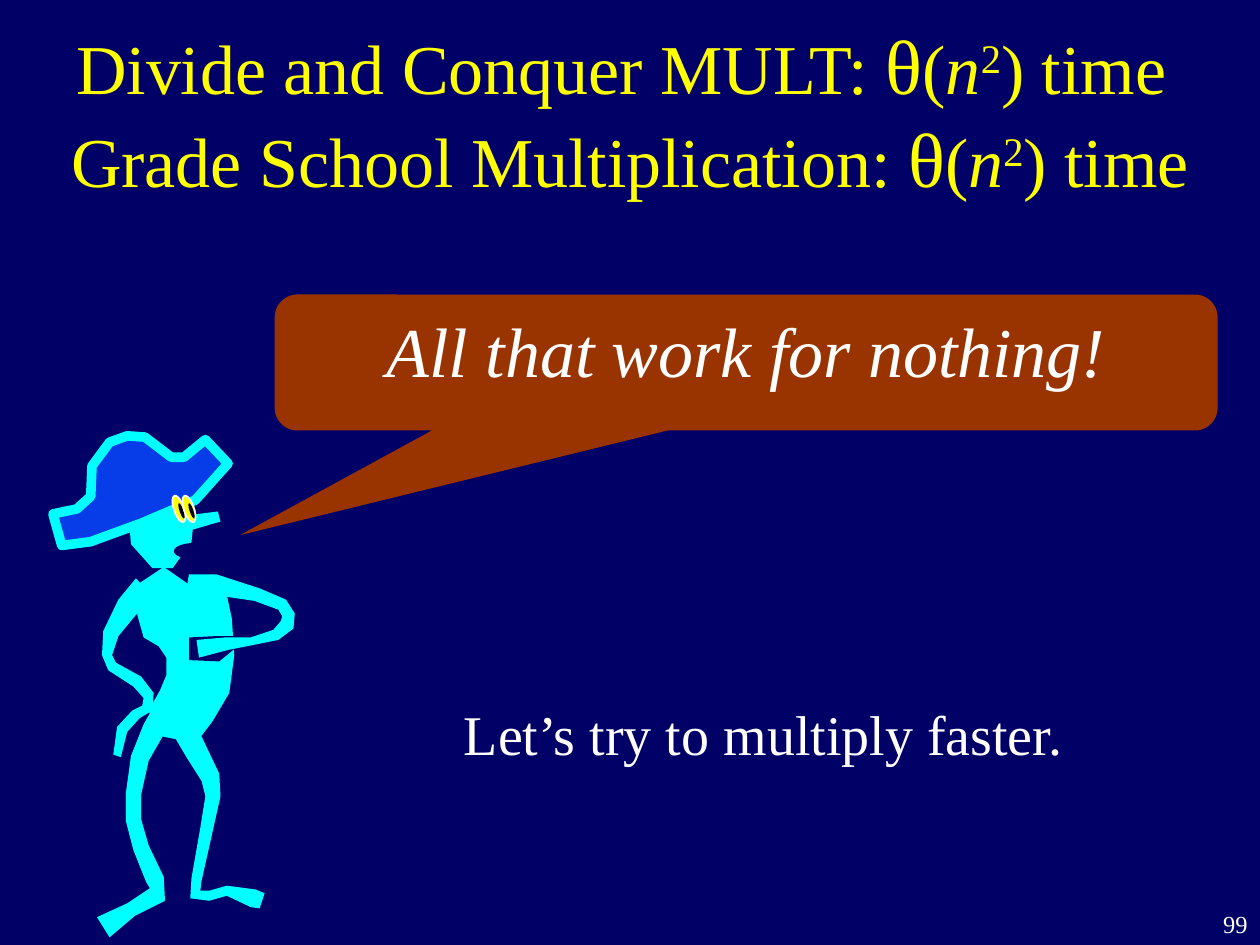
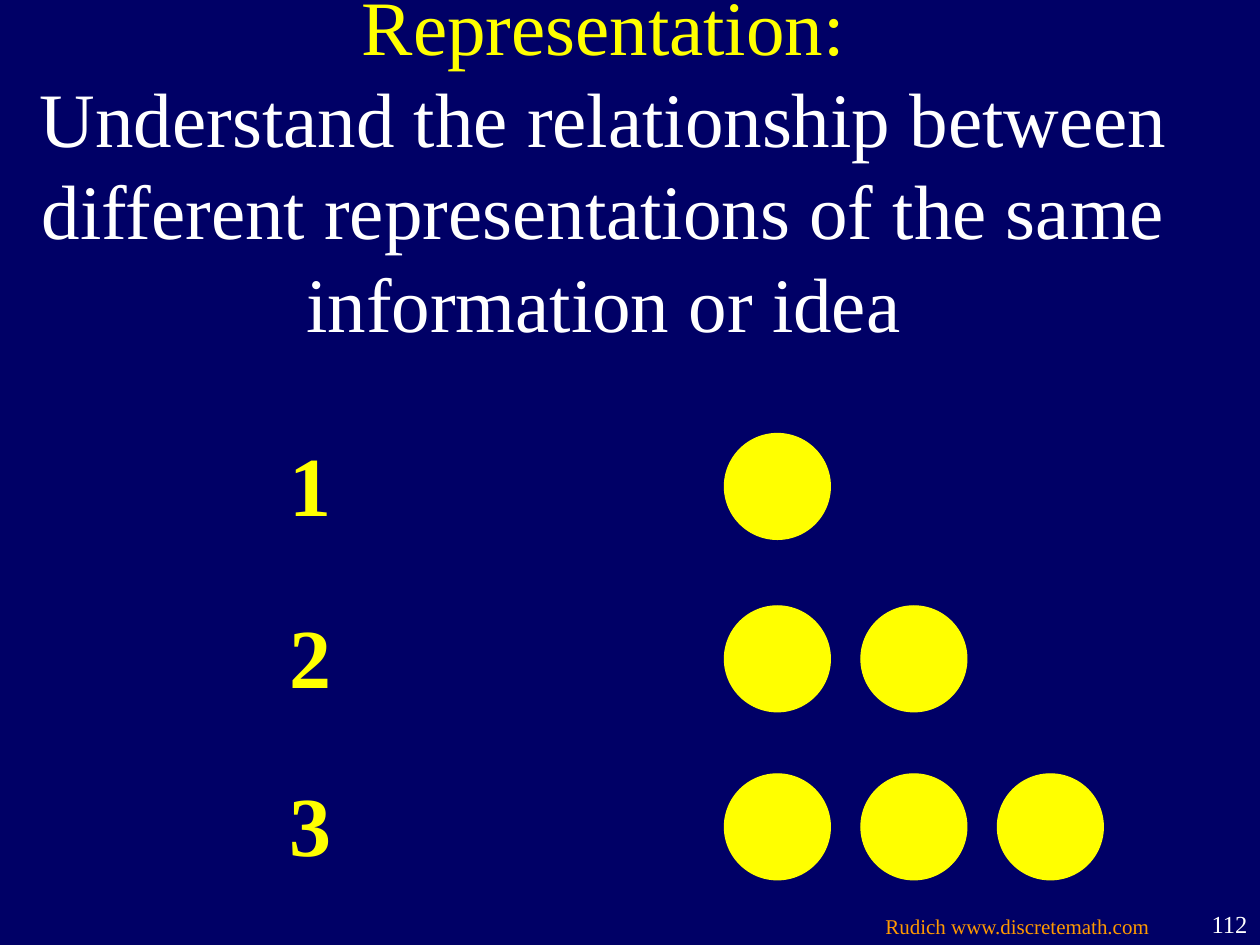
from dataclasses import dataclass
from math import hypot
from pptx import Presentation
from pptx.dml.color import RGBColor
from pptx.enum.shapes import MSO_SHAPE
from pptx.enum.text import MSO_ANCHOR, PP_ALIGN
from pptx.util import Pt


@dataclass(frozen=True)
class Theme:
    font: str = "Times New Roman"
    background: RGBColor = RGBColor(0x00, 0x00, 0x66)
    text: RGBColor = RGBColor(0xFF, 0xFF, 0xFF)
    accent: RGBColor = RGBColor(0xFF, 0xFF, 0x00)
    bubble: RGBColor = RGBColor(0x99, 0x33, 0x00)
    credit: RGBColor = RGBColor(0xFF, 0x99, 0x00)
    skin: RGBColor = RGBColor(0x00, 0xFF, 0xFF)
    hat: RGBColor = RGBColor(0x06, 0x3D, 0xE8)
    pupil: RGBColor = RGBColor(0x00, 0x00, 0x00)
    title_size: int = 44
    formula_size: int = 40
    numeral_size: int = 48
    remark_size: int = 32
    number_size: int = 14
    credit_size: int = 12


THEME = Theme()
PAGE_WIDTH, PAGE_HEIGHT = 720, 540

# The pirate is sketched on a grid of hundredths of an inch.
GRID = 0.72
SKETCH_ORIGIN = (40, 342)

# Each body part is a chain of joints: x, y and thickness there.
# The parts are painted in this order, so the arm gap cuts into the torso.
BODY_PARTS = {
    "head": [(128, 380, 34), (128, 410, 52), (128, 431, 48), (129, 451, 16)],
    "nose": [(150, 415, 12), (174, 410, 9)],
    "torso": [(140, 457, 24), (136, 463, 54), (141, 475, 69), (147, 489, 74),
              (155, 502, 62), (159, 521, 55), (157, 543, 51), (148, 560, 48),
              (139, 574, 47), (136, 586, 20)],
    "arm gap": [(190, 508, 6), (172, 515, 20), (150, 515, 17)],
    "left arm": [(116, 468, 24), (101, 482, 18), (88, 503, 12), (85, 520, 8),
                 (89, 529, 9), (109, 541, 9), (118, 552, 9), (117, 562, 9),
                 (108, 567, 8), (97, 579, 9), (93, 600, 6)],
    "right arm": [(149, 462, 13), (170, 464, 17), (204, 472, 11), (224, 480, 10),
                  (229, 488, 11), (228, 496, 11), (219, 504, 8), (200, 509, 6),
                  (180, 511, 10), (157, 515, 14)],
    "left leg": [(130, 562, 16), (122, 579, 18), (111, 602, 14), (106, 630, 12),
                 (106, 651, 12), (112, 673, 13), (123, 698, 14), (125, 710, 15),
                 (104, 722, 12), (82, 736, 18)],
    "right leg": [(139, 562, 8), (147, 580, 20), (156, 597, 18), (167, 617, 15),
                  (169, 632, 12), (164, 658, 10), (156, 698, 8), (155, 710, 10),
                  (166, 711, 8), (180, 707, 9), (201, 713, 14), (208, 715, 12)],
}
HAT_TOP = [(42, 408), (61, 404), (72, 394), (73, 370), (87, 351), (101, 346),
           (115, 347), (136, 363), (146, 363), (163, 349)]
HAT_BRIM = [(181, 368), (155, 397), (113, 415), (72, 430), (49, 433)]
HAT_TRIM_WIDTH = 5.5
EYE_TILT = 71.4


def limb_outline(joints):
    """Closed outline that lies half the thickness to either side of the joints."""
    near_side, far_side = [], []
    for index, (x, y, thickness) in enumerate(joints):
        before = joints[max(index - 1, 0)]
        after = joints[min(index + 1, len(joints) - 1)]
        along_x, along_y = after[0] - before[0], after[1] - before[1]
        reach = thickness / 2 / hypot(along_x, along_y)
        near_side.append((x - along_y * reach, y + along_x * reach))
        far_side.append((x + along_y * reach, y - along_x * reach))
    return near_side + far_side[::-1]


def paint(shape, color, line_color=None, line_width=0.75):
    shape.shadow.inherit = False
    shape.fill.solid()
    shape.fill.fore_color.rgb = color
    if line_color is None:
        shape.line.fill.background()
    else:
        shape.line.color.rgb = line_color
        shape.line.width = Pt(line_width)


def add_ellipse(page, box, color, line_color=None, line_width=0.75, rotation=0):
    ellipse = page.shapes.add_shape(MSO_SHAPE.OVAL, *map(Pt, box))
    ellipse.rotation = rotation
    paint(ellipse, color, line_color, line_width)


def style_paragraph(paragraph, size, color, align, bold=None, italic=None):
    paragraph.alignment = align
    font = paragraph.font
    font.name, font.size, font.bold, font.italic = THEME.font, Pt(size), bold, italic
    font.color.rgb = color


def add_text(page, box, text, size, color, align=PP_ALIGN.LEFT, bold=None,
             anchor=MSO_ANCHOR.TOP):
    frame = page.shapes.add_textbox(*map(Pt, box)).text_frame
    frame.word_wrap = True
    frame.vertical_anchor = anchor
    paragraph = frame.paragraphs[0]
    paragraph.text = text
    style_paragraph(paragraph, size, color, align, bold)
    return frame


def add_title(page, box, lines):
    """Each line is a list of (text, changes), where changes may hold size,
    color, italic and raised."""
    paragraph = add_text(page, box, "", THEME.title_size, THEME.accent,
                         PP_ALIGN.CENTER, anchor=MSO_ANCHOR.MIDDLE).paragraphs[0]
    for index, line in enumerate(lines):
        if index:
            paragraph.add_line_break()
        for text, changes in line:
            span = paragraph.add_run()
            span.text = text
            span.font.name = THEME.font
            span.font.size = Pt(changes.get("size", THEME.title_size))
            span.font.color.rgb = changes.get("color", THEME.accent)
            span.font.italic = changes.get("italic")
            if changes.get("raised"):
                span._r.get_or_add_rPr().set("baseline", "30000")


def quadratic_time(lead, tail=") time"):
    """Title line that ends in the running time θ(n²)."""
    plain = {"size": THEME.formula_size}
    return [(lead, plain), ("θ", {}), ("(", plain), ("n", {**plain, "italic": True}),
            ("2", {**plain, "raised": True}), (tail, plain)]


def add_speech_bubble(page, box, text):
    bubble = page.shapes.add_shape(MSO_SHAPE.ROUNDED_RECTANGULAR_CALLOUT, *map(Pt, box))
    tip_x, tip_y, corner = -0.537, 1.27, 0.167
    for index, value in enumerate((tip_x, tip_y, corner)):
        bubble.adjustments[index] = value
    paint(bubble, THEME.bubble)
    frame = bubble.text_frame
    frame.vertical_anchor = MSO_ANCHOR.TOP
    frame.paragraphs[0].text = text
    style_paragraph(frame.paragraphs[0], THEME.formula_size, THEME.text,
                    PP_ALIGN.CENTER, italic=True)


def add_pirate(page, left, top):
    origin_x = left - SKETCH_ORIGIN[0] * GRID
    origin_y = top - SKETCH_ORIGIN[1] * GRID

    def add_outline(points, *style):
        builder = page.shapes.build_freeform(*points[0], scale=Pt(GRID))
        builder.add_line_segments(points[1:], close=True)
        paint(builder.convert_to_shape(Pt(origin_x), Pt(origin_y)), *style)

    def add_oval(center_x, center_y, width, height, *style):
        add_ellipse(page, (origin_x + (center_x - width / 2) * GRID,
                           origin_y + (center_y - height / 2) * GRID,
                           width * GRID, height * GRID), *style)

    for name, joints in BODY_PARTS.items():
        color = THEME.background if name == "arm gap" else THEME.skin
        add_outline(limb_outline(joints), color)
    add_outline(HAT_TOP + HAT_BRIM, THEME.hat, THEME.skin, HAT_TRIM_WIDTH)
    for eye_x in (142, 150):
        add_oval(eye_x, 404, 22, 8, THEME.accent, THEME.text, 1, EYE_TILT)
        add_oval(eye_x + 2, 405.5, 13, 3, THEME.pupil, None, 0, EYE_TILT)
    mouth_x, mouth_y = 154.5, 437.5
    add_oval(mouth_x, mouth_y, 33, 13, THEME.background)


def add_count_row(page, left, center, count):
    """A numeral and as many discs, all centred on one height."""
    height, disc, pitch, disc_offset = 64.8, 60.5, 78, 258
    add_text(page, (left, center - height / 2 - 2, 43, height), str(count),
             THEME.numeral_size, THEME.accent, PP_ALIGN.CENTER, True, MSO_ANCHOR.MIDDLE)
    for index in range(count):
        box = (left + disc_offset + index * pitch, center - disc / 2, disc, disc)
        add_ellipse(page, box, THEME.accent, THEME.accent)


def add_credit(page, box, text):
    frame = add_text(page, box, text, THEME.credit_size, THEME.credit, PP_ALIGN.CENTER)
    frame.margin_left, frame.margin_right = Pt(64), Pt(46.8)


def add_page(deck, number):
    page = deck.slides.add_slide(deck.slide_layouts[6])
    page.background.fill.solid()
    page.background.fill.fore_color.rgb = THEME.background
    add_text(page, (PAGE_WIDTH - 36, 516, 36, 24), str(number),
             THEME.number_size, THEME.text, PP_ALIGN.RIGHT)
    return page


def build_multiplication_page(deck):
    page = add_page(deck, 99)
    add_title(page, (0, 18, PAGE_WIDTH, 90),
              [quadratic_time("Divide and Conquer MULT: ", ") time "),
               quadratic_time("Grade School Multiplication: ")])
    add_speech_bubble(page, (157, 168.3, 538.8, 77.7), "All that work for nothing!")
    add_pirate(page, 28.8, 246.2)
    add_text(page, (258, 396, 357, 46), "Let’s try to multiply faster.",
             THEME.remark_size, THEME.text)


def build_representation_page(deck):
    page = add_page(deck, 112)
    statement = ("Understand the relationship between different representations "
                 "of the same information or idea")
    add_title(page, (0, 48, 690, 90),
              [[("Representation:", {})], [(statement, {"color": THEME.text})]])
    for count, center in enumerate((278, 376.5, 472.5), start=1):
        add_count_row(page, 156, center, count)
    add_credit(page, (425.5, 518.5, PAGE_WIDTH - 425.5, 21.5), "Rudich www.discretemath.com")


def main():
    deck = Presentation()
    deck.slide_width, deck.slide_height = Pt(PAGE_WIDTH), Pt(PAGE_HEIGHT)
    build_multiplication_page(deck)
    build_representation_page(deck)
    deck.save("out.pptx")


if __name__ == "__main__":
    main()
